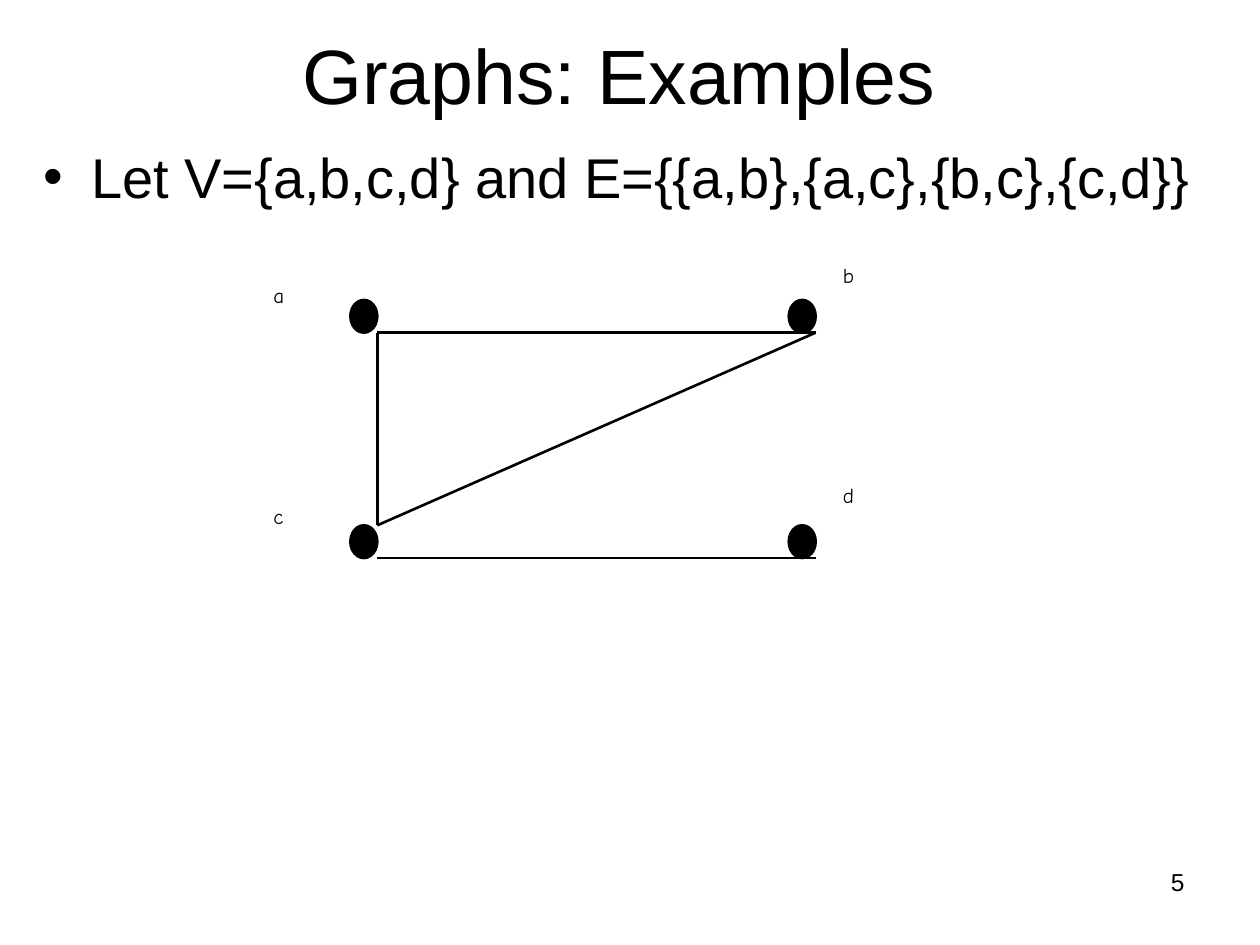
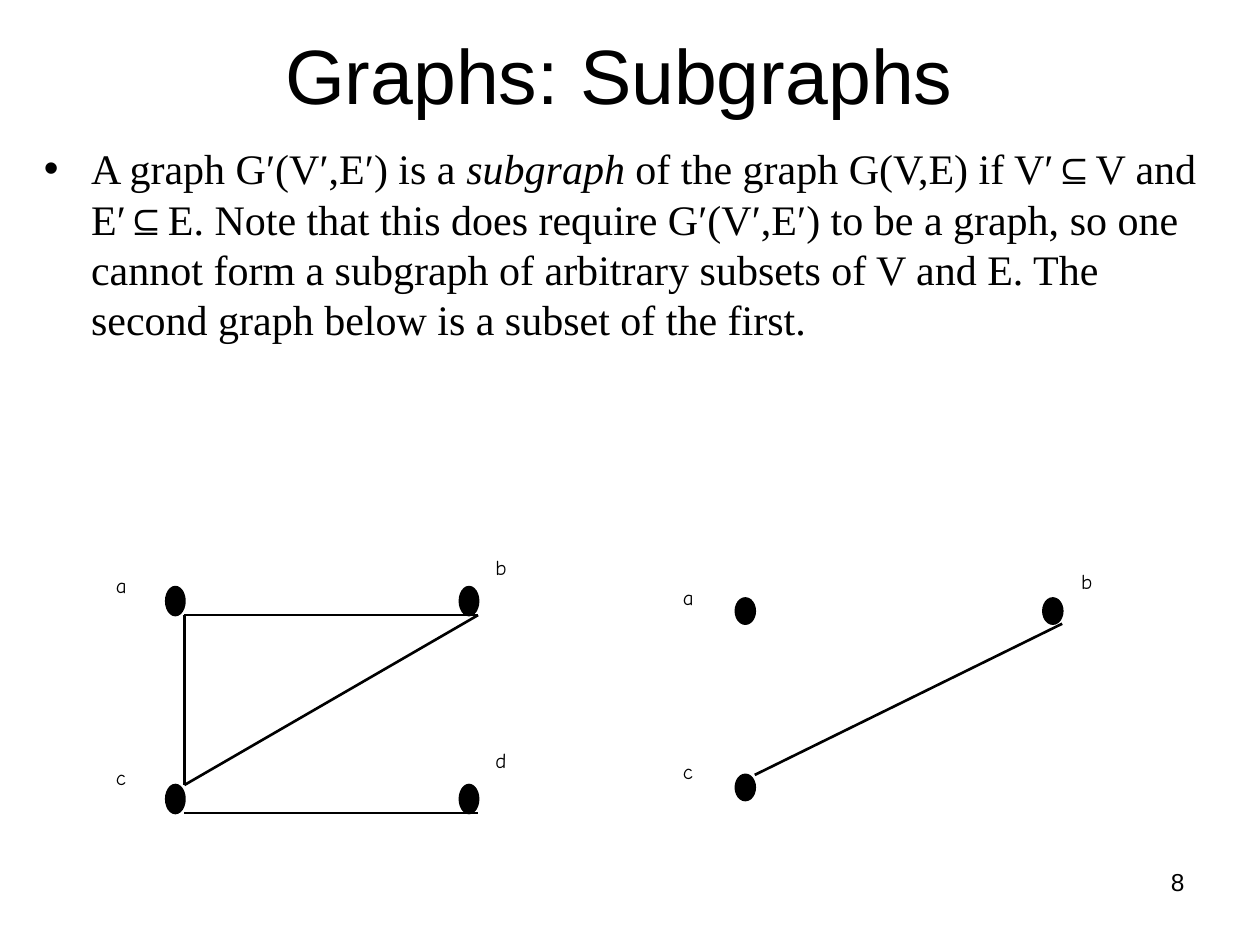
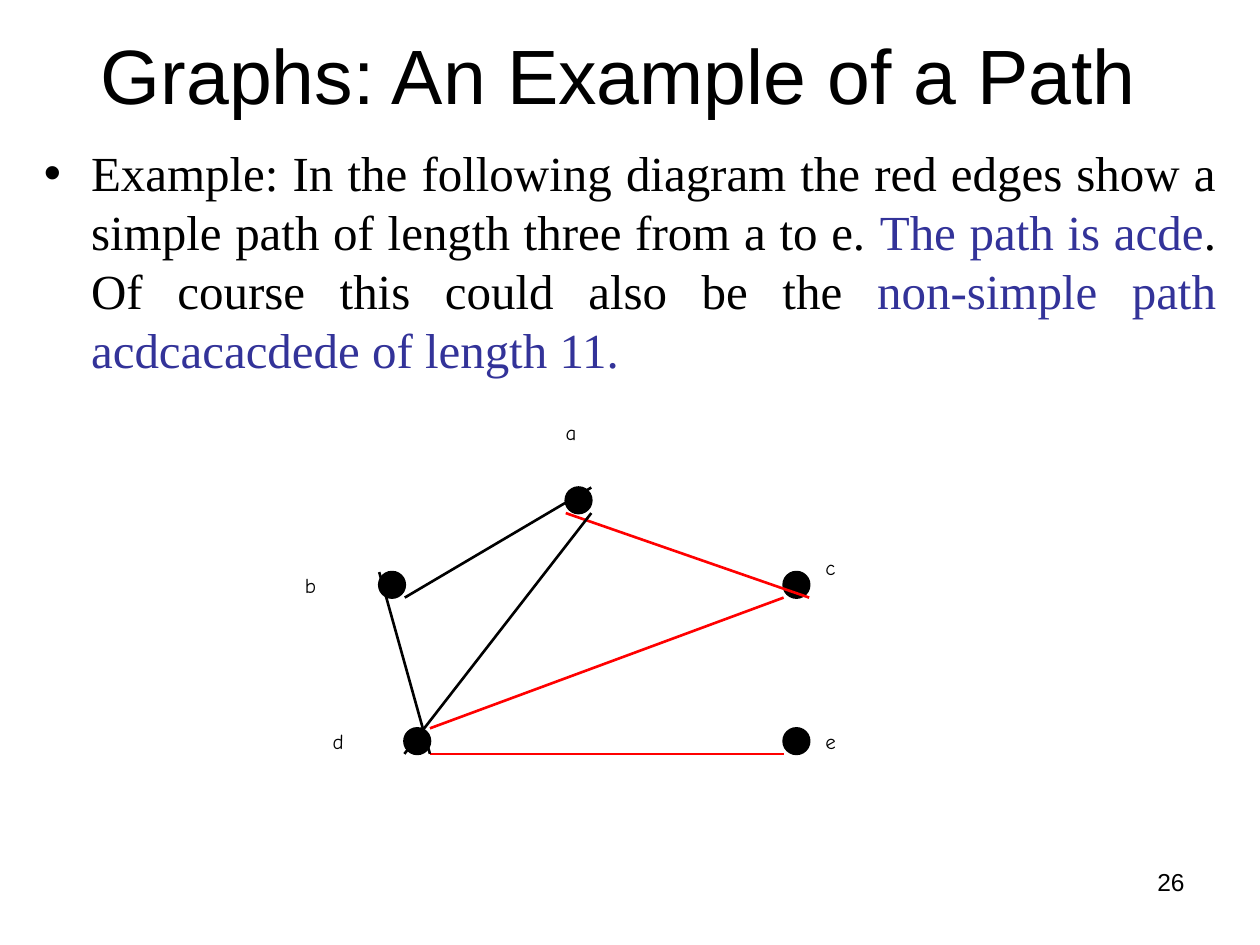
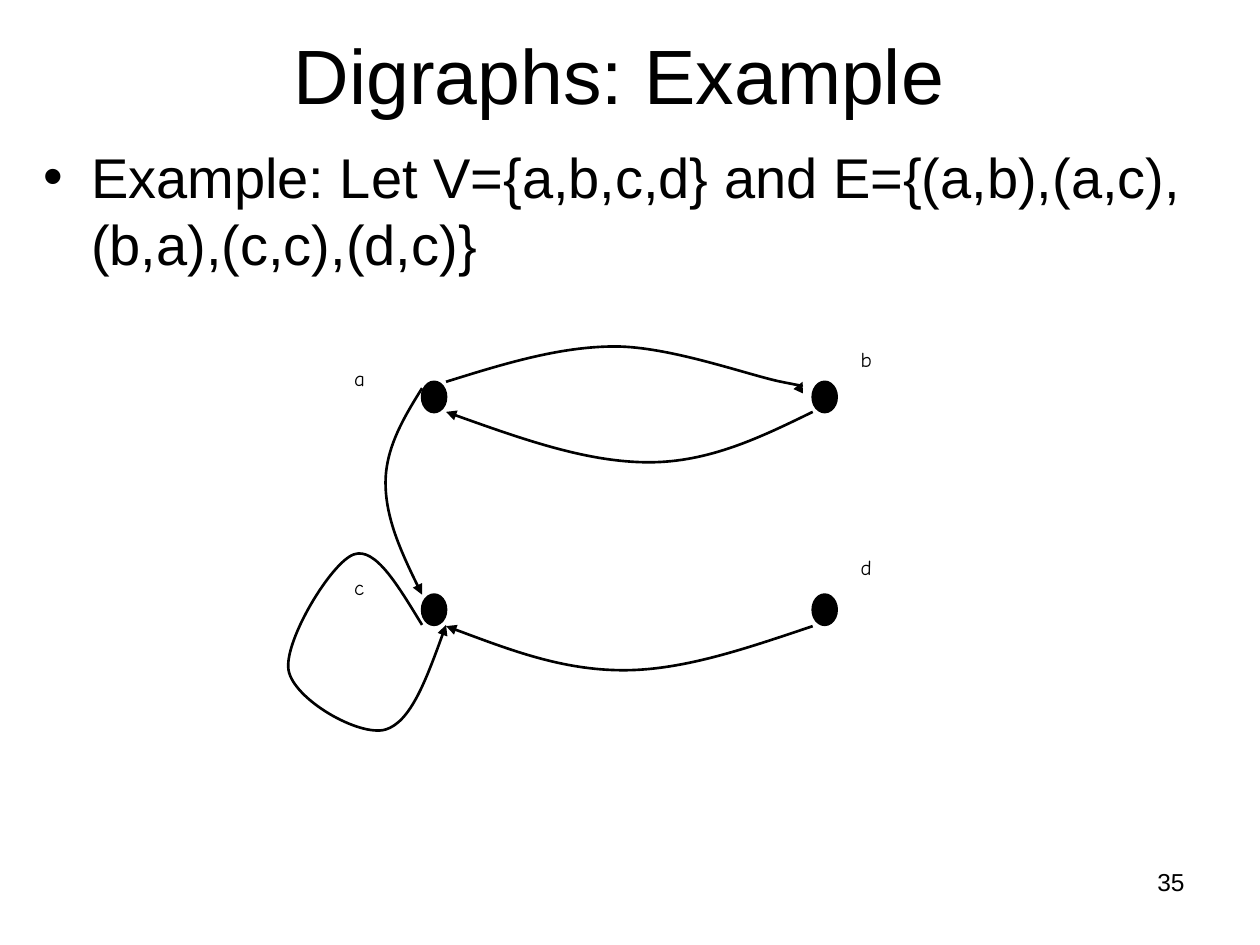
from dataclasses import dataclass

from lxml import etree
from pptx import Presentation
from pptx.dml.color import RGBColor
from pptx.enum.shapes import MSO_CONNECTOR, MSO_SHAPE
from pptx.enum.text import MSO_ANCHOR, MSO_AUTO_SIZE, PP_ALIGN
from pptx.oxml.ns import qn
from pptx.util import Pt

OVAL, RECTANGLE = MSO_SHAPE.OVAL, MSO_SHAPE.RECTANGLE
STRAIGHT = MSO_CONNECTOR.STRAIGHT
TOP, MIDDLE = MSO_ANCHOR.TOP, MSO_ANCHOR.MIDDLE
NO_AUTOFIT = MSO_AUTO_SIZE.NONE
LEFT, CENTER, RIGHT, JUSTIFY = PP_ALIGN.LEFT, PP_ALIGN.CENTER, PP_ALIGN.RIGHT, PP_ALIGN.JUSTIFY

BLACK, WHITE, RED, INDIGO = "000000", "FFFFFF", "FF0000", "333399"
SANS, SERIF, HAND = "Arial", "Times New Roman", "Comic Neue"
TITLE_ONLY = 5
LINE_WIDTH = 1.5
BULLET_INDENT = 27
TITLE_BOX = (18, 18, 684, 48)
BODY_BOX = (18, 78, 684, 414)
NUMBER_BOX = (516, 492, 168, 37.5)
CORNERS = {"nw": (0, 0), "ne": (1, 0), "sw": (0, 1), "se": (1, 1)}

Point = tuple[float, float]


@dataclass(frozen=True)
class Node:
    name: str
    place: Point
    label_place: Point


@dataclass(frozen=True)
class Edge:
    start: str
    start_corner: str
    end: str
    end_corner: str
    color: str = BLACK


@dataclass(frozen=True)
class Graph:
    nodes: list[Node]
    node_size: Point
    label_size: Point
    edges: tuple[Edge, ...] = ()
    arcs: tuple[tuple[Point, ...], ...] = ()


@dataclass(frozen=True)
class Phrase:
    text: str
    color: str = BLACK
    italic: bool = False


@dataclass(frozen=True)
class Lesson:
    number: int
    title: str
    phrases: tuple[Phrase, ...]
    graphs: tuple[Graph, ...]
    font: str = SANS
    size: float = 32
    align: PP_ALIGN = LEFT


def grid_nodes(columns: Point, rows: Point, label_columns: Point,
               label_tops: dict[str, float]) -> list[Node]:
    """Place nodes row by row on a grid two columns wide."""
    return [
        Node(name, (columns[i % 2], rows[i // 2]), (label_columns[i % 2], top))
        for i, (name, top) in enumerate(label_tops.items())
    ]


SQUARE_EDGES = (
    Edge("a", "se", "b", "se"),
    Edge("c", "se", "d", "se"),
    Edge("c", "ne", "b", "se"),
    Edge("a", "se", "c", "ne"),
)

EXAMPLE_GRAPH = Graph(
    grid_nodes((200.2, 450.7), (171.4, 300.2), (156.2, 481.7),
               {"a": 161.3, "b": 149.8, "c": 288, "d": 275.8}),
    (15.4, 18.7), (34.6, 58.3), SQUARE_EDGES)

WHOLE_GRAPH = Graph(
    grid_nodes((95, 262.8), (335.5, 448.6), (66.2, 283),
               {"a": 326.9, "b": 316.8, "c": 437, "d": 427}),
    (10.4, 16), (23, 51.1), SQUARE_EDGES)

SUBGRAPH = Graph(
    grid_nodes((420.5, 596.2), (342, 442.8), (390.2, 617.8),
               {"a": 334.1, "b": 324.7, "c": 433.4}),
    (10.8, 14.4), (23.8, 45.4), (Edge("c", "ne", "b", "se"),))

PATH_GRAPH = Graph(
    [
        Node("a", (323.3, 278.6), (323.3, 239.8)),
        Node("b", (216.7, 326.9), (174.2, 326.9)),
        Node("c", (447.8, 326.9), (471.6, 316.8)),
        Node("d", (231.1, 416.2), (190.1, 416.2)),
        Node("e", (447.8, 416.2), (471.6, 416.2)),
    ],
    (14.6, 14.6), (25.9, 27),
    (
        Edge("a", "ne", "b", "se"),
        Edge("a", "sw", "c", "se", RED),
        Edge("c", "sw", "d", "ne", RED),
        Edge("d", "se", "e", "sw", RED),
        Edge("a", "se", "d", "sw"),
        Edge("b", "nw", "d", "se"),
    ))

DIGRAPH = Graph(
    grid_nodes((241.2, 464.4), (218.2, 339.8), (202.3, 491.8),
               {"a": 208.8, "b": 198, "c": 328.3, "d": 316.8}),
    (13.7, 17.3), (30.2, 54.7),
    arcs=(
        ((254.9, 218.2), (287.3, 208.1), (319.7, 198), (351.4, 198), (383, 198),
         (428.4, 214.6), (446.4, 218.2), (464.4, 221.8), (461.5, 219.6), (458.6, 218.2)),
        ((464.4, 235.4), (434.9, 249.8), (405.4, 264.2), (370.8, 264.2),
         (335.5, 264.2), (295.2, 249.8), (254.9, 235.4)),
        ((241.2, 221.8), (230.4, 239), (220.3, 256.3), (220.3, 275.8),
         (220.3, 295.9), (230.4, 318.2), (241.2, 339.8)),
        ((464.4, 357.8), (427.7, 370.1), (391, 383), (356.4, 383),
         (321.1, 383), (288, 370.1), (254.9, 357.8)),
        ((241.2, 357.1), (227.5, 334.8), (214.6, 312.5), (202.3, 316.8),
         (189.4, 321.1), (162, 366.5), (164.9, 383), (167.8, 399.6), (205.2, 421.2),
         (220.3, 416.9), (234.7, 412.6), (244.8, 385.2), (254.9, 357.1)),
    ))

LESSONS = (
    Lesson(5, "Graphs: Examples ",
           (Phrase("Let V={a,b,c,d} and E={{a,b},{a,c},{b,c},{c,d}}"),),
           (EXAMPLE_GRAPH,)),
    Lesson(8, "Graphs: Subgraphs ",
           (
               Phrase("A graph G′(V′,E′) is a "),
               Phrase("subgraph", italic=True),
               Phrase(" of the graph G(V,E) if V′⊆V and E′⊆E. Note that this does require "
                      "G′(V′,E′) to be a graph, so one cannot form a subgraph of arbitrary "
                      "subsets of V and E. The second graph below is a subset of the first."),
           ),
           (WHOLE_GRAPH, SUBGRAPH), SERIF, 24),
    Lesson(26, "Graphs: An Example of a Path ",
           (
               Phrase("Example: In the following diagram the red edges show a simple path "
                      "of length three from a to e. "),
               Phrase("The path is acde", INDIGO),
               Phrase(". Of course this could also be the "),
               Phrase("non-simple path acdcacacdede of length 11.", INDIGO),
           ),
           (PATH_GRAPH,), SERIF, 28, JUSTIFY),
    Lesson(35, "Digraphs: Example ",
           (Phrase("Example: Let V={a,b,c,d} and E={(a,b),(a,c),(b,a),(c,c),(d,c)}"),),
           (DIGRAPH,)),
)


def rgb(color: str) -> RGBColor:
    """Turn a hex string into a colour."""
    return RGBColor.from_string(color)


def set_values(target, values: dict) -> None:
    """Set each named attribute on the target."""
    for name, value in values.items():
        setattr(target, name, value)


def set_box(shape, box: tuple) -> None:
    """Move and size a shape."""
    set_values(shape, dict(zip(("left", "top", "width", "height"), map(Pt, box))))


def write(shape, phrases: tuple[Phrase, ...], font: str, size: float,
          align: PP_ALIGN = LEFT, anchor: MSO_ANCHOR = TOP, bullet: bool = False) -> None:
    """Write one paragraph of styled phrases into a shape."""
    frame = shape.text_frame
    set_values(frame, {"word_wrap": True, "auto_size": NO_AUTOFIT, "vertical_anchor": anchor})
    paragraph = frame.paragraphs[0]
    paragraph.alignment = align
    if bullet:
        properties = paragraph._p.get_or_add_pPr()
        properties.set("marL", str(Pt(BULLET_INDENT)))
        properties.set("indent", str(-Pt(BULLET_INDENT)))
        etree.SubElement(properties, qn("a:buFont"), typeface=SANS)
        etree.SubElement(properties, qn("a:buChar"), char="•")
    for phrase in phrases:
        run = paragraph.add_run()
        run.text = phrase.text
        set_values(run.font, {"name": font, "size": Pt(size), "italic": phrase.italic})
        run.font.color.rgb = rgb(phrase.color)


def add_text(slide, box: tuple, phrases: tuple[Phrase, ...], font: str, size: float,
             align: PP_ALIGN, bullet: bool = False) -> None:
    """Add a text box."""
    text_box = slide.shapes.add_textbox(*map(Pt, box))
    write(text_box, phrases, font, size, align, bullet=bullet)


def style_line(shape, color: str) -> None:
    """Give a shape or connector the common stroke."""
    shape.line.color.rgb = rgb(color)
    shape.line.width = Pt(LINE_WIDTH)


def add_filled(group, kind: MSO_SHAPE, place: Point, size: Point, color: str):
    """Add a plain filled shape without a shadow."""
    shape = group.shapes.add_shape(kind, *map(Pt, place + size))
    shape.shadow.inherit = False
    shape.fill.solid()
    shape.fill.fore_color.rgb = rgb(color)
    return shape


def add_node(group, node: Node, size: Point) -> None:
    """Draw a vertex dot."""
    style_line(add_filled(group, OVAL, node.place, size, BLACK), BLACK)


def add_label(group, node: Node, size: Point) -> None:
    """Draw the name of a vertex on a white tile."""
    label = add_filled(group, RECTANGLE, node.label_place, size, WHITE)
    label.line.fill.background()
    margins = ("margin_left", "margin_top", "margin_right", "margin_bottom")
    set_values(label.text_frame, dict.fromkeys(margins, 0))
    write(label, (Phrase(node.name),), HAND, 12)


def add_edge(group, edge: Edge, graph: Graph) -> None:
    """Join the named corners of two vertices."""
    places = {node.name: node.place for node in graph.nodes}
    ends = [
        Pt(place + share * length)
        for name, corner in ((edge.start, edge.start_corner), (edge.end, edge.end_corner))
        for place, share, length in zip(places[name], CORNERS[corner], graph.node_size)
    ]
    connector = group.shapes.add_connector(STRAIGHT, *ends)
    style_line(connector, edge.color)
    etree.SubElement(connector._element.spPr, qn("a:effectLst"))


def add_arc(group, points: tuple[Point, ...]) -> None:
    """Draw an arrow along cubic curves given by their control points."""
    start, *rest = [(Pt(x), Pt(y)) for x, y in points]
    builder = group.shapes.build_freeform(*start, scale=1.0)
    builder.add_line_segments(rest, close=False)
    arc = builder.convert_to_shape()
    arc.shadow.inherit = False
    arc.fill.background()
    style_line(arc, BLACK)
    etree.SubElement(arc.line._get_or_add_ln(), qn("a:tailEnd"), type="triangle")
    outline = arc._element.find(".//" + qn("a:path"))
    segments = outline.findall(qn("a:lnTo"))
    for first in range(0, len(segments), 3):
        curve = etree.SubElement(outline, qn("a:cubicBezTo"))
        for segment in segments[first:first + 3]:
            curve.append(segment[0])
            outline.remove(segment)


def add_graph(slide, graph: Graph) -> None:
    """Draw a graph as one group."""
    group = slide.shapes.add_group_shape()
    for node in graph.nodes:
        add_node(group, node, graph.node_size)
    for edge in graph.edges:
        add_edge(group, edge, graph)
    for node in graph.nodes:
        add_label(group, node, graph.label_size)
    for arc in graph.arcs:
        add_arc(group, arc)


def add_lesson(presentation, lesson: Lesson) -> None:
    """Add one slide with its number, title, text and graphs."""
    slide = presentation.slides.add_slide(presentation.slide_layouts[TITLE_ONLY])
    title = slide.shapes.title
    set_box(title, TITLE_BOX)
    write(title, (Phrase(lesson.title),), SANS, 44, CENTER, MIDDLE)
    add_text(slide, NUMBER_BOX, (Phrase(str(lesson.number)),), SANS, 14, RIGHT)
    add_text(slide, BODY_BOX, lesson.phrases, lesson.font, lesson.size, lesson.align, bullet=True)
    for graph in lesson.graphs:
        add_graph(slide, graph)


def main() -> None:
    """Build the presentation."""
    presentation = Presentation()
    set_values(presentation, {"slide_width": Pt(720), "slide_height": Pt(540)})
    for lesson in LESSONS:
        add_lesson(presentation, lesson)
    presentation.save("out.pptx")


if __name__ == "__main__":
    main()
